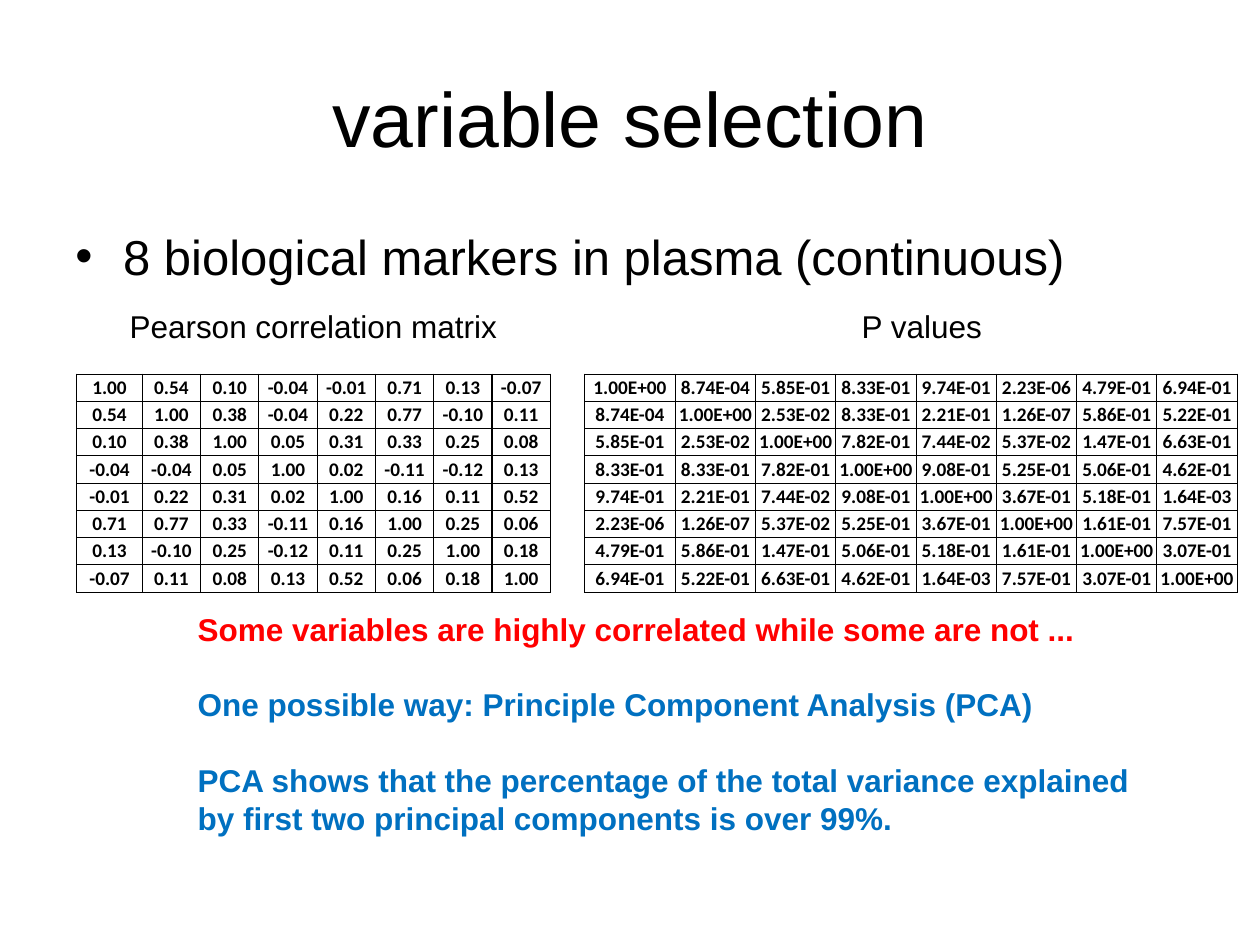
from dataclasses import dataclass

from lxml import etree
from pptx import Presentation
from pptx.dml.color import RGBColor
from pptx.enum.text import MSO_ANCHOR, PP_ALIGN
from pptx.oxml.ns import qn
from pptx.util import Inches, Pt

CENTER = PP_ALIGN.CENTER
MIDDLE = MSO_ANCHOR.MIDDLE
TITLE_ONLY = 5


@dataclass(frozen=True)
class Theme:
    text_font: str = "Arial"
    table_font: str = "Calibri"
    title_size: float = 44
    bullet_size: float = 28
    body_size: float = 18
    cell_size: float = 11
    border_width: float = 0.75
    line_pitch: float = 21.6
    black: str = "000000"
    red: str = "FF0000"
    blue: str = "0070C0"


@dataclass(frozen=True)
class Box:
    left: float
    top: float
    width: float
    height: float

    def lengths(self):
        return tuple(Inches(n) for n in (self.left, self.top, self.width, self.height))


@dataclass(frozen=True)
class Matrix:
    """A symmetric matrix, given by its lower triangle with the diagonal."""
    label: str
    label_box: Box
    box: Box
    first_column: float
    triangle: str

    def rows(self) -> list[list[str]]:
        lower = [line.split() for line in self.triangle.strip().splitlines()]
        size = len(lower)
        return [[lower[max(i, j)][min(i, j)] for j in range(size)] for i in range(size)]


THEME = Theme()

MATRICES = (
    Matrix("Pearson correlation matrix", Box(0.93, 2.39, 3.2, 0.4),
           Box(0.61, 2.97, 3.76, 1.73), 0.52, """
1.00
0.54 1.00
0.10 0.38 1.00
-0.04 -0.04 0.05 1.00
-0.01 0.22 0.31 0.02 1.00
0.71 0.77 0.33 -0.11 0.16 1.00
0.13 -0.10 0.25 -0.12 0.11 0.25 1.00
-0.07 0.11 0.08 0.13 0.52 0.06 0.18 1.00
"""),
    Matrix("P values", Box(6.74, 2.39, 1.25, 0.4),
           Box(4.64, 2.97, 5.18, 1.73), 0.72, """
1.00E+00
8.74E-04 1.00E+00
5.85E-01 2.53E-02 1.00E+00
8.33E-01 8.33E-01 7.82E-01 1.00E+00
9.74E-01 2.21E-01 7.44E-02 9.08E-01 1.00E+00
2.23E-06 1.26E-07 5.37E-02 5.25E-01 3.67E-01 1.00E+00
4.79E-01 5.86E-01 1.47E-01 5.06E-01 5.18E-01 1.61E-01 1.00E+00
6.94E-01 5.22E-01 6.63E-01 4.62E-01 1.64E-03 7.57E-01 3.07E-01 1.00E+00
"""),
)

CONCLUSIONS = (
    ("Some variables are highly correlated while some are not ...", THEME.red),
    ("One possible way: Principle Component Analysis (PCA)", THEME.blue),
    ("PCA shows that the percentage of the total variance explained "
     "by first two principal components is over 99%.", THEME.blue),
)


def set_font(paragraph, size: float, color: str = THEME.black,
             bold: bool = False, name: str = THEME.text_font) -> None:
    font = paragraph.font
    font.name, font.size, font.bold = name, Pt(size), bold
    font.color.rgb = RGBColor.from_string(color)


def add_title(slide, text: str) -> None:
    title = slide.shapes.title
    title.left, title.top, title.width, title.height = Box(0.5, 0.3, 9, 1.25).lengths()
    title.text_frame.text = text
    title.text_frame.vertical_anchor = MIDDLE
    paragraph = title.text_frame.paragraphs[0]
    paragraph.alignment = CENTER
    set_font(paragraph, THEME.title_size)


def add_text_frame(slide, box: Box):
    frame = slide.shapes.add_textbox(*box.lengths()).text_frame
    frame.word_wrap = True
    return frame


def add_bullet(slide, text: str) -> None:
    paragraph = add_text_frame(slide, Box(0.5, 1.75, 9.13, 0.64)).paragraphs[0]
    paragraph.text = text
    properties = paragraph._p.get_or_add_pPr()
    properties.set("marL", str(Inches(0.38)))
    properties.set("indent", str(-Inches(0.38)))
    etree.SubElement(properties, qn("a:buFont"), typeface=THEME.text_font)
    etree.SubElement(properties, qn("a:buChar"), char="•")
    set_font(paragraph, THEME.bullet_size)


def add_label(slide, text: str, box: Box) -> None:
    paragraph = add_text_frame(slide, box).paragraphs[0]
    paragraph.text = text
    set_font(paragraph, THEME.body_size)


def add_conclusions(slide) -> None:
    frame = add_text_frame(slide, Box(1.47, 4.79, 7.69, 1.92))
    for index, (text, color) in enumerate(CONCLUSIONS):
        paragraph = frame.add_paragraph() if index else frame.paragraphs[0]
        paragraph.text = text
        paragraph.line_spacing = Pt(THEME.line_pitch)
        if index:
            paragraph.space_before = Pt(THEME.line_pitch)
        set_font(paragraph, THEME.body_size, color, bold=True)


def set_borders(cell) -> None:
    """Put four lines ahead of the fill, in the order the schema asks for."""
    properties = cell._tc.get_or_add_tcPr()
    for index, side in enumerate(("lnL", "lnR", "lnT", "lnB")):
        line = etree.Element(qn(f"a:{side}"), w=str(Pt(THEME.border_width)))
        fill = etree.SubElement(line, qn("a:solidFill"))
        etree.SubElement(fill, qn("a:srgbClr"), val=THEME.black)
        properties.insert(index, line)


def format_cell(cell, text: str) -> None:
    cell.text = text
    cell.margin_left = cell.margin_right = cell.margin_top = cell.margin_bottom = 0
    cell.vertical_anchor = MIDDLE
    cell.fill.background()
    set_borders(cell)
    paragraph = cell.text_frame.paragraphs[0]
    paragraph.alignment = CENTER
    set_font(paragraph, THEME.cell_size, bold=True, name=THEME.table_font)


def add_matrix(slide, matrix: Matrix) -> None:
    rows = matrix.rows()
    size = len(rows)
    table = slide.shapes.add_table(size, size, *matrix.box.lengths()).table
    table.first_row = table.horz_banding = False
    other_column = (matrix.box.width - matrix.first_column) / (size - 1)
    for index, column in enumerate(table.columns):
        column.width = Inches(other_column if index else matrix.first_column)
    for row, values in zip(table.rows, rows):
        row.height = Inches(matrix.box.height / size)
        for cell, value in zip(row.cells, values):
            format_cell(cell, value)


def main() -> None:
    presentation = Presentation()
    presentation.slide_width, presentation.slide_height = Inches(10), Inches(7.5)
    slide = presentation.slides.add_slide(presentation.slide_layouts[TITLE_ONLY])
    add_title(slide, "variable selection")
    add_bullet(slide, "8 biological markers in plasma (continuous)")
    for matrix in MATRICES:
        add_label(slide, matrix.label, matrix.label_box)
    add_conclusions(slide)
    for matrix in MATRICES:
        add_matrix(slide, matrix)
    presentation.save("out.pptx")


if __name__ == "__main__":
    main()
